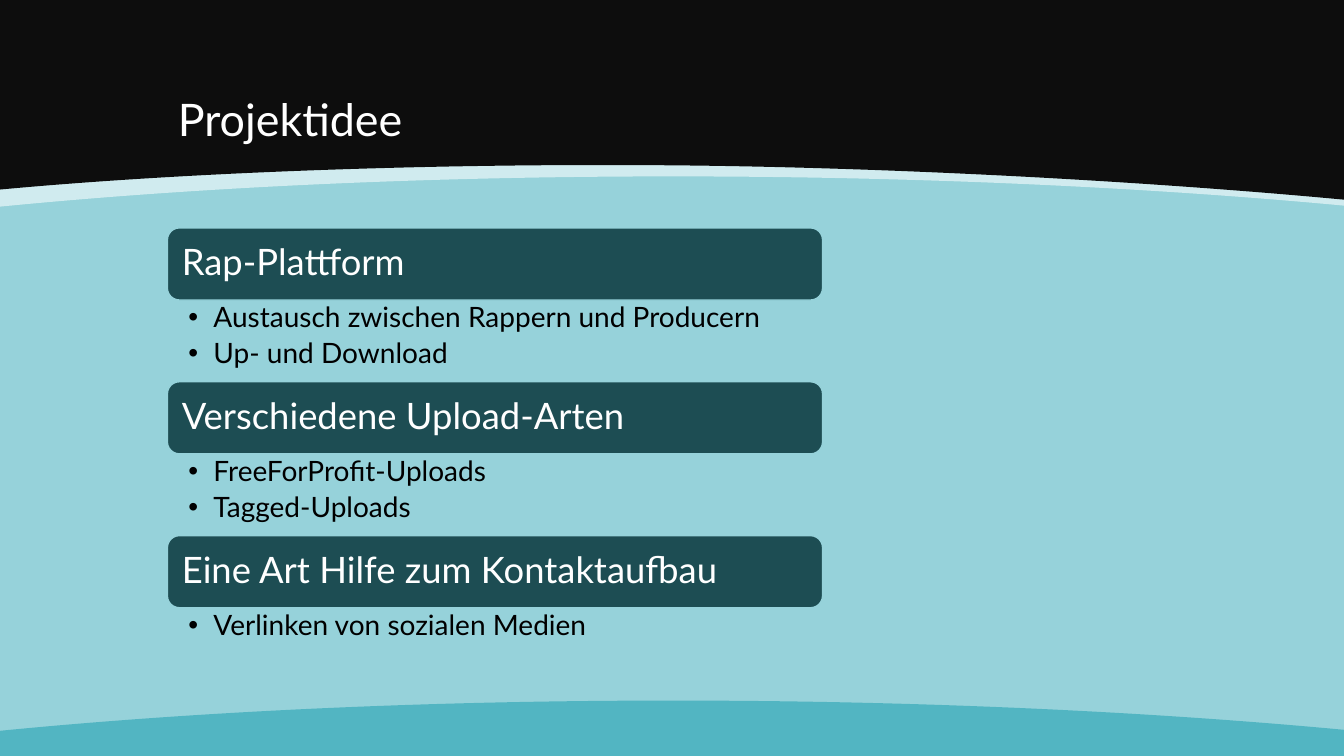
from pptx import Presentation
from pptx.util import Pt
from pptx.dml.color import RGBColor
from pptx.enum.shapes import MSO_SHAPE as Shape
from pptx.enum.text import MSO_ANCHOR as Anchor, PP_ALIGN as Align
from pptx.oxml.ns import qn
from lxml.etree import SubElement as Sub

WIDE, HIGH = 960, 540
SKY, DEEP = "96D2DA", "1D4D53"


def paint(fill, color):
    fill.solid()
    fill.fore_color.rgb = RGBColor.from_string(color)


def write(shape, *lines, size, color, anchor=Anchor.TOP, pad=(7.2, 3.6, 7.2, 3.6),
          after=0, bullet=False):
    frame = shape.text_frame
    frame.word_wrap = True
    frame.vertical_anchor = anchor
    (frame.margin_left, frame.margin_top,
     frame.margin_right, frame.margin_bottom) = map(Pt, pad)
    for i, line in enumerate(lines):
        para = frame.add_paragraph() if i else frame.paragraphs[0]
        para.alignment = Align.LEFT
        para.line_spacing = 0.9
        para.space_before, para.space_after = Pt(0), Pt(after)
        run = para.add_run()
        run.text = line
        run.font.name, run.font.size = "Lato", Pt(size)
        paint(run.font.fill, color)
        if bullet:
            props = para._p.get_or_add_pPr()
            props.set("marL", str(Pt(18)))
            props.set("indent", str(-Pt(18)))
            Sub(props, qn("a:buFont")).set("typeface", "Arial")
            Sub(props, qn("a:buChar")).set("char", "•")


deck = Presentation()
deck.slide_width, deck.slide_height = Pt(WIDE), Pt(HIGH)
slide = deck.slides.add_slide(deck.slide_layouts[5])
shapes = slide.shapes
paint(slide.background.fill, SKY)

# Curved bands: flat edge, then two Bezier curves from right to left
bands = [
    ("EAF6F8", 70, 0, [(960, 146.9), (820.8, 133.9), (656.6, 126), (481, 126),
                       (304.6, 126), (139.7, 133.9), (0, 147.6)]),
    ("0D0D0D", 100, 0, [(960, 142.6), (820.8, 129.6), (640, 119.5), (481, 118.1),
                        (320.4, 116.6), (139.7, 122.4), (0, 135.4)]),
    ("52B5C2", 100, HIGH, [(960, 521.3), (820.8, 508.3), (656.6, 500.4), (481, 500.4),
                           (304.6, 500.4), (139.7, 508.3), (0, 522)]),
]
for color, alpha, edge, knots in bands:
    form = shapes.build_freeform(0, Pt(edge))
    form.add_line_segments([(Pt(x), Pt(y)) for x, y in [(WIDE, edge)] + knots], close=True)
    band = form.convert_to_shape()
    band.shadow.inherit = False
    paint(band.fill, color)
    band.line.fill.background()
    # Turn each three knots after the edge into one curve
    legs = list(band._element.iter(qn("a:lnTo")))[2:]
    for k in (0, 3):
        curve = Sub(legs[k].getparent(), qn("a:cubicBezTo"))
        legs[k].addprevious(curve)
        for leg in legs[k:k + 3]:
            curve.append(leg[0])
            leg.getparent().remove(leg)
    if alpha < 100:
        tint = band._element.spPr.find(qn("a:solidFill"))[0]
        Sub(tint, qn("a:alpha")).set("val", str(alpha * 1000))

# Title, in front of the bands
title = shapes.title
title.left, title.top, title.width, title.height = map(Pt, (119.8, 21.6, 720, 86.4))
write(title, "Projektidee", size=32, color="FFFFFF", anchor=Anchor.BOTTOM)
shapes._spTree.append(title._element)

# Topics with their points
topics = [
    ("Rap-Plattform", ["Austausch zwischen Rappern und Producern", "Up- und Download"]),
    ("Verschiedene Upload-Arten", ["FreeForProfit-Uploads", "Tagged-Uploads"]),
    ("Eine Art Hilfe zum Kontaktaufbau", ["Verlinken von sozialen Medien"]),
]
LEFT, TOP, WIDTH, BAR, PITCH = 119.6, 162.8, 468, 51.5, 109.9
for i, (topic, points) in enumerate(topics):
    top = TOP + i * PITCH
    bar = shapes.add_shape(Shape.ROUNDED_RECTANGLE, *map(Pt, (LEFT, top, WIDTH, BAR)))
    bar.shadow.inherit = False
    paint(bar.fill, DEEP)
    paint(bar.line.fill, SKY)
    bar.line.width = Pt(1)
    write(bar, topic, size=26, color="FFFFFF", anchor=Anchor.MIDDLE, pad=(7.8, 7.8, 7.8, 7.8))
    tall = 33.8 if len(points) == 1 else PITCH - BAR
    box = shapes.add_textbox(*map(Pt, (LEFT, top + BAR, WIDTH, tall)))
    write(box, *points, size=20, color="000000", pad=(14.9, 2.6, 14.4, 2.6),
          after=4, bullet=True)

deck.save("out.pptx")
